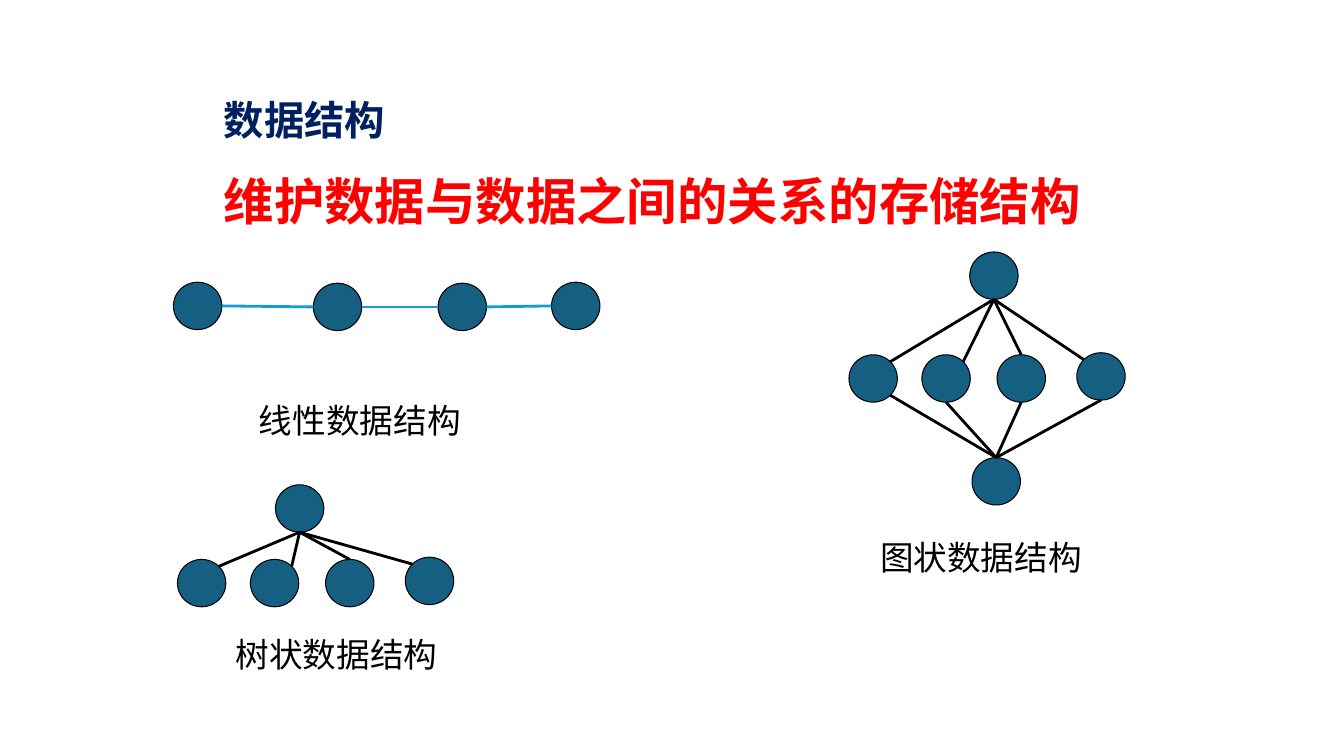
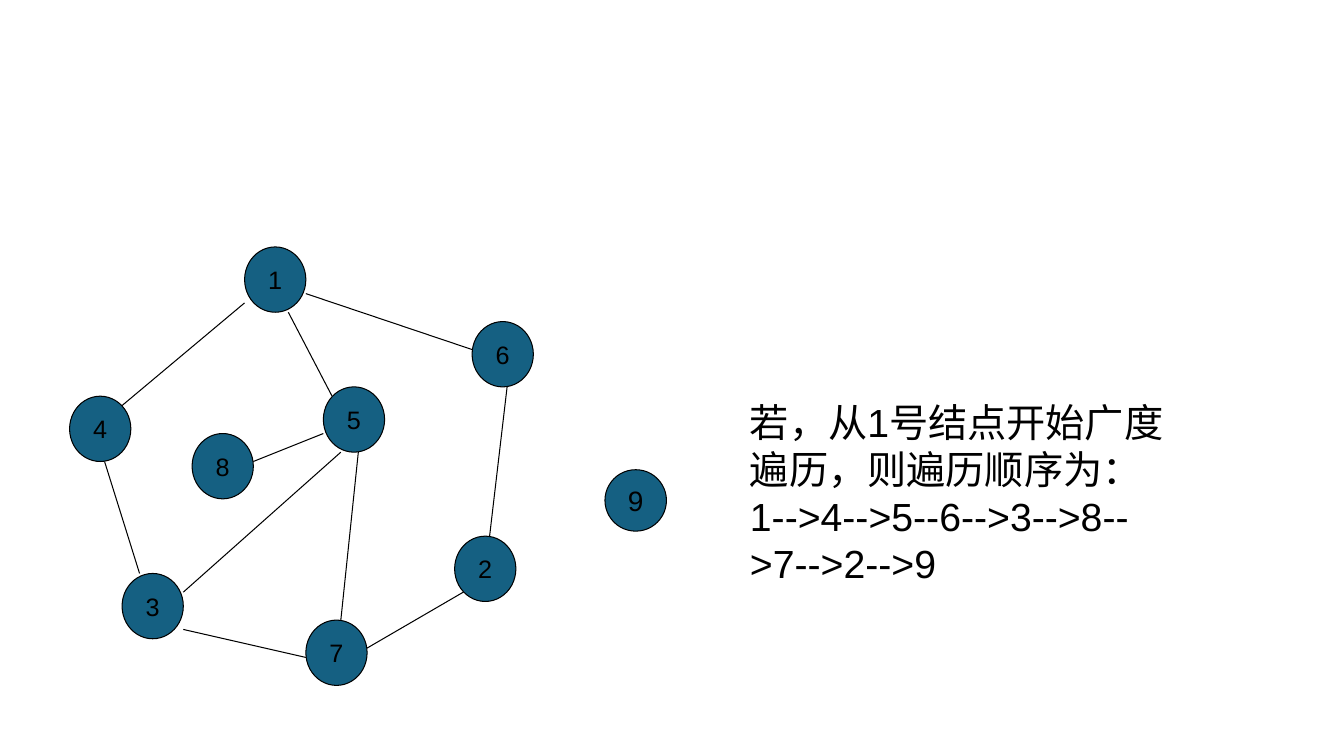
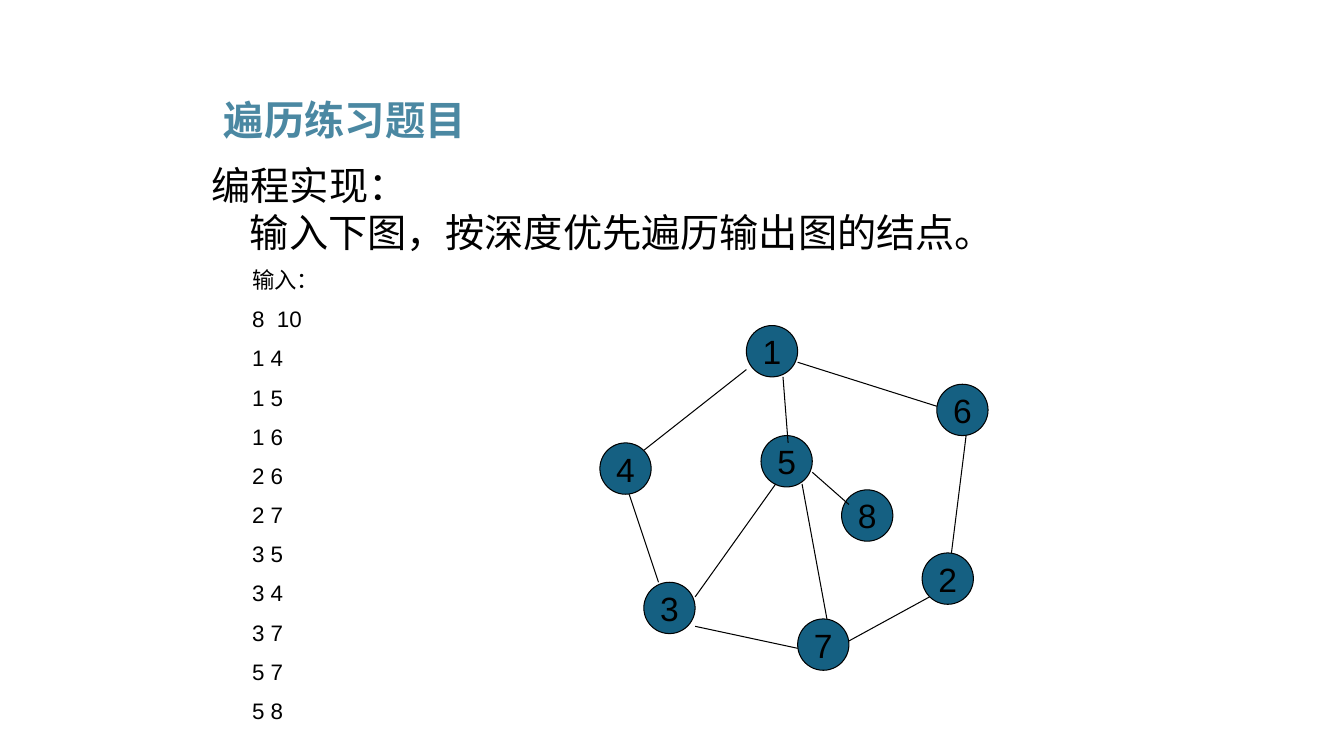
import math
import pptx
import pptx.util
import pptx.dml.color
import pptx.enum.shapes
import pptx.enum.text
import pptx.oxml.ns
from lxml import etree

RGB = pptx.dml.color.RGBColor
NODE_FILL = RGB(0x15, 0x60, 0x82)
CHAIN_BLUE = RGB(0x0F, 0x9E, 0xD5)
BLACK = RGB(0x00, 0x00, 0x00)
NAVY = RGB(0x00, 0x20, 0x60)
RED = RGB(0xFF, 0x00, 0x00)
STEEL = RGB(0x4B, 0x88, 0xA2)

SERIF = "Times New Roman"
SANS = "Arial"
CHINESE = "Noto Sans CJK SC"

TITLE_BOX = (2.12, 0.93, 10.44, 0.56)
DISC_W, DISC_H = 0.48, 0.47
CHILD_COLUMNS = (0, 0.32, 0.65, 1)
TOP, BOTTOM_RIGHT, BOTTOM, LEFT, RIGHT = 0, 5, 4, 2, 6
TOP_LEFT, TOP_RIGHT = 1, 7
CHILD_SITES = (TOP_RIGHT, TOP_RIGHT, TOP, TOP_LEFT)
SINK_SITES = (BOTTOM_RIGHT, BOTTOM, BOTTOM, BOTTOM)

GRAPH_COLUMNS, GRAPH_ROWS, NODE_CELLS = 53, 47, 7
RING_NODES = {1: (20, 0), 4: (0, 16), 3: (6, 35), 6: (46, 8), 7: (27, 40), 2: (44, 31)}
RING_EDGES = [
    (1, (0, 6), 4, (6, 1)),
    (1, (7, 5), 6, (0, 3)),
    (4, (4, 7), 3, (2, 0)),
    (3, (7, 6), 7, (0, 4)),
    (7, (7, 3), 2, (1, 6)),
    (6, (4, 7), 2, (4, 0)),
]


def inches(*lengths):
    return [pptx.util.Inches(length) for length in lengths]


def add_run(paragraph, text, size, color=BLACK, font=SANS, bold=False):
    run = paragraph.add_run()
    run.text = text
    run.font.size = pptx.util.Pt(size)
    run.font.bold = bold
    run.font.color.rgb = color
    run.font.name = font
    east_asian = etree.SubElement(run._r.get_or_add_rPr(), pptx.oxml.ns.qn("a:ea"))
    east_asian.set("typeface", CHINESE)


def write_lines(frame, lines, size, **style):
    frame.word_wrap = True
    frame.auto_size = pptx.enum.text.MSO_AUTO_SIZE.NONE
    for index, line in enumerate(lines):
        paragraph = frame.add_paragraph() if index else frame.paragraphs[0]
        add_run(paragraph, line, size, **style)


def add_text(slide, box, lines, size, **style):
    frame = slide.shapes.add_textbox(*inches(*box)).text_frame
    write_lines(frame, lines, size, **style)
    return frame


def place(placeholder, box):
    placeholder.left, placeholder.top, placeholder.width, placeholder.height = inches(*box)


def add_title(slide, text, color):
    title = slide.shapes.title
    place(title, TITLE_BOX)
    write_lines(title.text_frame, [text], 28.8, color=color, font=SERIF, bold=True)
    title.text_frame.vertical_anchor = pptx.enum.text.MSO_ANCHOR.MIDDLE
    heading = title.text_frame.paragraphs[0]
    heading.alignment = pptx.enum.text.PP_ALIGN.LEFT
    heading.line_spacing = 0.9


def add_node(slide, box, label="", size=18):
    node = slide.shapes.add_shape(pptx.enum.shapes.MSO_SHAPE.OVAL, *inches(*box))
    node.shadow.inherit = False
    node.fill.solid()
    node.fill.fore_color.rgb = NODE_FILL
    node.line.color.rgb = BLACK
    node.line.width = pptx.util.Pt(0.75)
    if label:
        frame = node.text_frame
        frame.word_wrap = False
        frame.vertical_anchor = pptx.enum.text.MSO_ANCHOR.MIDDLE
        frame.paragraphs[0].alignment = pptx.enum.text.PP_ALIGN.CENTER
        add_run(frame.paragraphs[0], label, size)


def add_edge(slide, start, end, color=BLACK, width=0.75):
    edge = slide.shapes.add_connector(
        pptx.enum.shapes.MSO_CONNECTOR.STRAIGHT, *inches(*start, *end))
    edge.line.color.rgb = color
    edge.line.width = pptx.util.Pt(width)
    etree.SubElement(edge._element.spPr, pptx.oxml.ns.qn("a:effectLst"))


def add_discs(slide, box, shares):
    left, top, width, height = box
    corners = [(left + x * (width - DISC_W), top + y * (height - DISC_H)) for x, y in shares]
    for corner in corners:
        add_node(slide, (*corner, DISC_W, DISC_H))
    return corners


def rim(corner, site):
    angle = math.radians(90 + 45 * site)
    return (corner[0] + DISC_W / 2 * (1 + math.cos(angle)),
            corner[1] + DISC_H / 2 * (1 - math.sin(angle)))


def add_chain(slide, box):
    discs = add_discs(slide, box, [(0, 0), (0.37, 1), (0.7, 1), (1, 0)])
    for disc, following in zip(discs, discs[1:]):
        add_edge(slide, rim(disc, RIGHT), rim(following, LEFT), CHAIN_BLUE, 2)


def add_fan(slide, box, root_column, child_rows, sink_column=None):
    root, = add_discs(slide, box, [(root_column, 0)])
    children = add_discs(slide, box, zip(CHILD_COLUMNS, child_rows))
    for child, site in zip(children, CHILD_SITES):
        add_edge(slide, rim(root, BOTTOM), rim(child, site), width=2)
    if sink_column is not None:
        sink, = add_discs(slide, box, [(sink_column, 1)])
        for child, site in zip(children, SINK_SITES):
            add_edge(slide, rim(sink, TOP), rim(child, site), width=2)


def add_graph(slide, box, inner_nodes, inner_edges, size):
    left, top, width, height = box
    column, row = width / GRAPH_COLUMNS, height / GRAPH_ROWS
    nodes = {**RING_NODES, **inner_nodes}

    def point(number, offset=(0, 0)):
        x, y = nodes[number]
        return left + (x + offset[0]) * column, top + (y + offset[1]) * row

    for number in nodes:
        add_node(slide, (*point(number), NODE_CELLS * column, NODE_CELLS * row),
                 str(number), size)
    for start, start_offset, end, end_offset in RING_EDGES + inner_edges:
        add_edge(slide, point(start, start_offset), point(end, end_offset))


def add_input_list(slide, box, lines):
    body = slide.placeholders[1]
    place(body, box)
    write_lines(body.text_frame, lines, 16)
    for paragraph in body.text_frame.paragraphs:
        paragraph.space_before = pptx.util.Pt(8.8)
        properties = paragraph._p.get_or_add_pPr()
        properties.set("marL", "0")
        properties.set("indent", "0")
        etree.SubElement(properties, pptx.oxml.ns.qn("a:buNone"))


def build_structures(slide):
    add_title(slide, "数据结构", NAVY)
    add_text(slide, (2.12, 1.64, 8.81, 0.71), ["维护数据与数据之间的关系的存储结构"], 36,
             color=RED, font=SERIF, bold=True)
    add_chain(slide, (1.72, 2.8, 4.23, 0.48))
    add_fan(slide, (1.76, 4.81, 2.74, 1.21), 0.43, (1, 1, 1, 0.97))
    add_fan(slide, (8.42, 2.5, 2.74, 2.51), 0.53, (0.5, 0.5, 0.5, 0.49), 0.54)
    captions = [
        ("线性数据结构", (2.47, 3.92, 3.32, 0.5)),
        ("图状数据结构", (8.63, 5.28, 3.26, 0.5)),
        ("树状数据结构", (2.24, 6.24, 2.58, 0.5)),
    ]
    for caption, box in captions:
        add_text(slide, box, [caption], 24)


def build_breadth_first(slide):
    add_text(slide, (7.34, 3.9, 4.57, 1.97),
             ["若，从1号结点开始广度遍历，则遍历顺序为：",
              "1-->4-->5--6-->3-->8-->7-->2-->9"], 28)
    inner_edges = [
        (1, (5, 7), 5, (1, 1)),
        (5, (0, 5), 8, (7, 3)),
        (3, (7, 2), 5, (2, 7)),
        (5, (4, 7), 7, (4, 0)),
    ]
    add_graph(slide, (0.69, 2.45, 4.6, 4.35), {5: (29, 15), 8: (14, 20)}, inner_edges, 18)
    add_node(slide, (6, 4.66, 0.61, 0.61), "9", 20)


def build_exercise(slide):
    add_title(slide, "遍历练习题目", STEEL)
    task = add_text(slide, (2, 1.55, 9.21, 1.04),
                    ["编程实现：", "输入下图，按深度优先遍历输出图的结点。"], 28, font=CHINESE)
    indent = pptx.util.Inches(0.38)
    task.paragraphs[1]._p.get_or_add_pPr().set("indent", str(int(indent)))
    add_input_list(slide, (2.4, 2.59, 1.18, 4.81),
                   ["输入：", "8  10", "1 4", "1 5", "1 6", "2 6", "2 7",
                    "3 5", "3 4", "3 7", "5 7", "5 8"])
    inner_edges = [
        (1, (5, 7), 5, (3.7, 1)),
        (5, (7, 5), 8, (1, 2)),
        (3, (7, 2), 5, (2, 6.6)),
        (5, (5.6, 6.6), 7, (4, 0)),
    ]
    add_graph(slide, (5.95, 3.23, 3.85, 3.42), {5: (22, 15), 8: (33, 22.4)}, inner_edges, 24)


def main():
    deck = pptx.Presentation()
    deck.slide_width, deck.slide_height = inches(13.33, 7.5)
    title_only, blank, title_and_body = (deck.slide_layouts[i] for i in (5, 6, 1))
    build_structures(deck.slides.add_slide(title_only))
    build_breadth_first(deck.slides.add_slide(blank))
    build_exercise(deck.slides.add_slide(title_and_body))
    deck.save("out.pptx")


if __name__ == "__main__":
    main()
